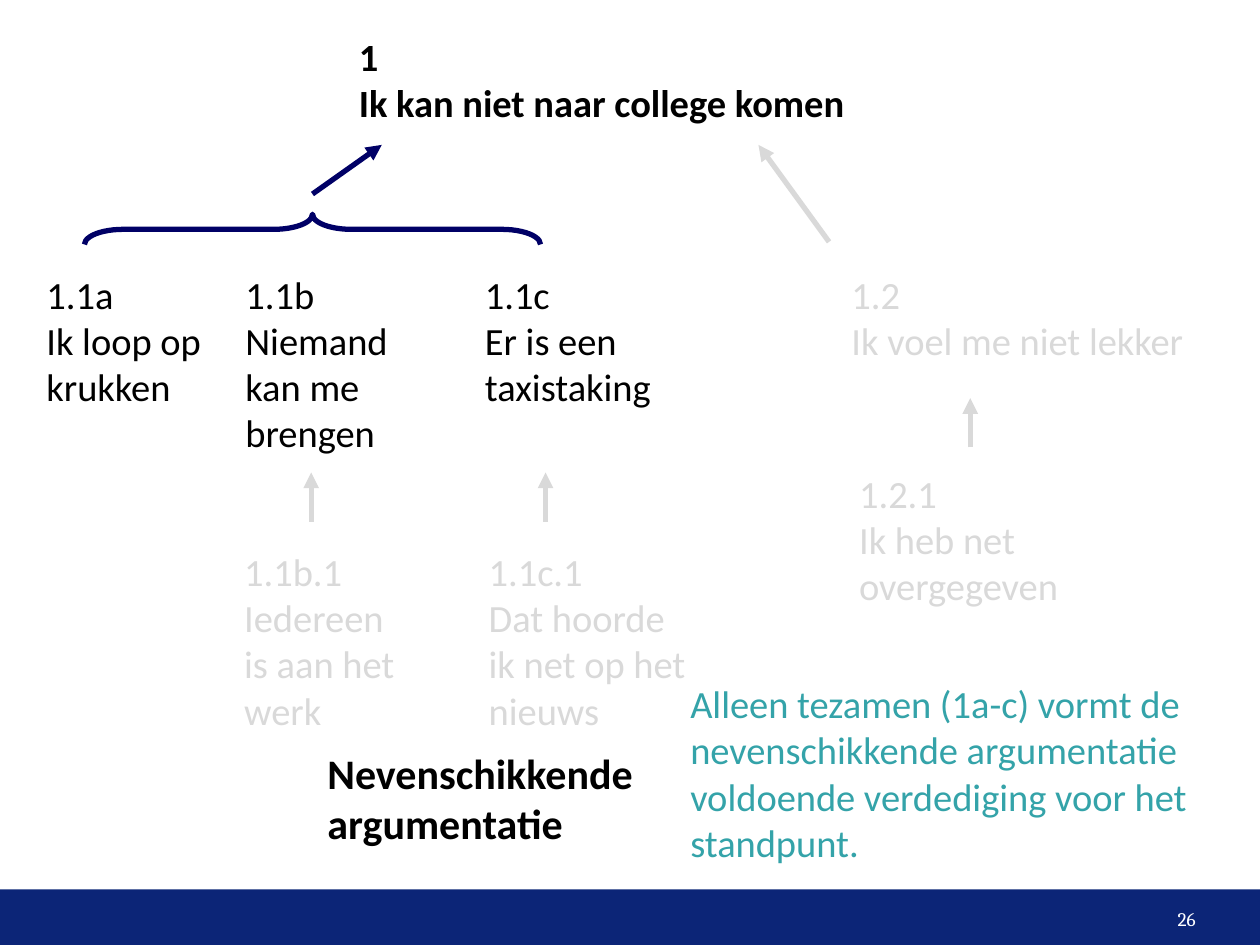
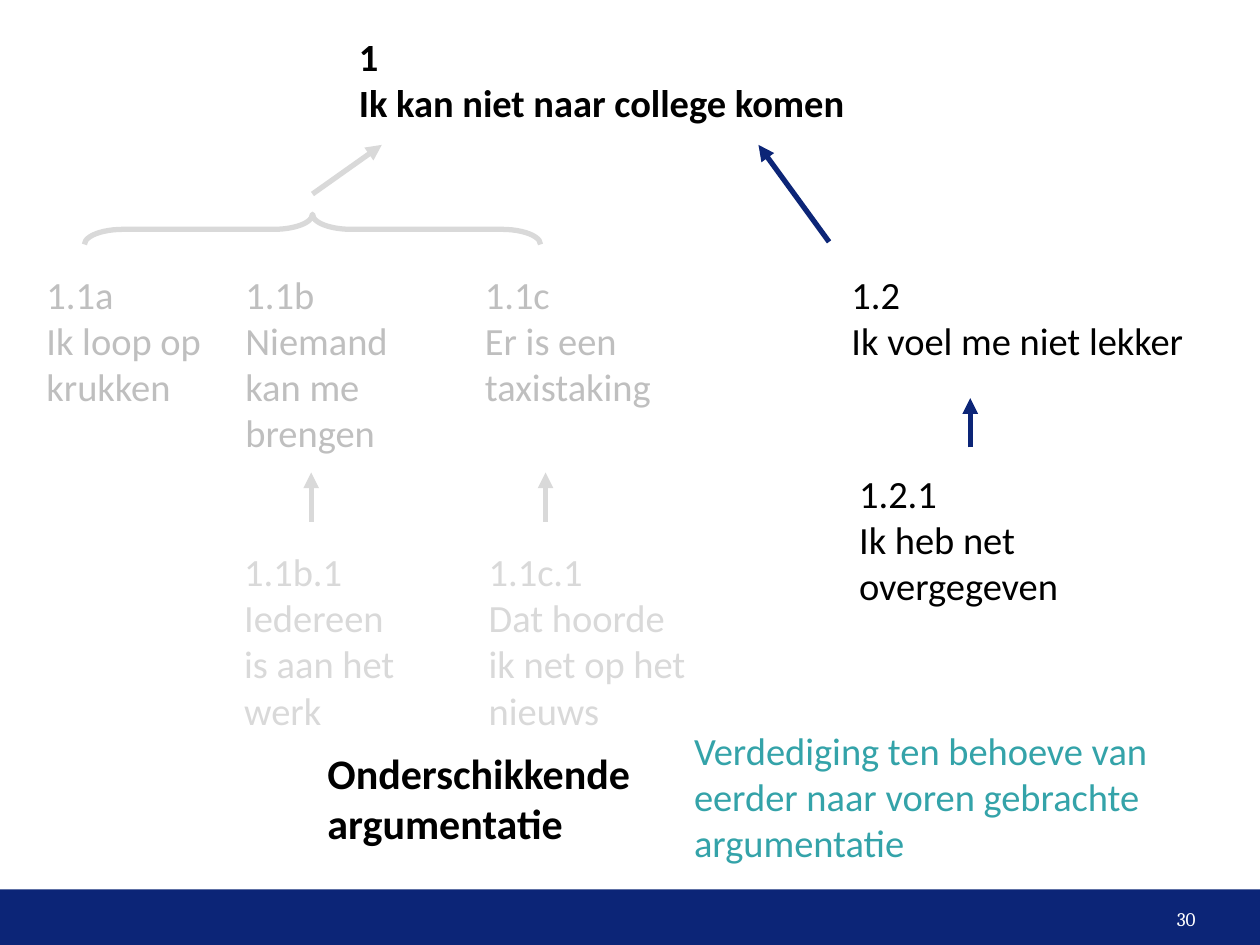
"""Builds two slides that highlight parts of one argumentation tree."""
from dataclasses import dataclass

from lxml import etree
from pptx import Presentation
from pptx.dml.color import RGBColor
from pptx.enum import shapes, text
from pptx.oxml import ns
from pptx.util import Inches, Pt


@dataclass(frozen=True)
class Theme:
    """Colours, fonts and sizes shared by the slides."""
    ink: str = "000000"
    white: str = "FFFFFF"
    band: str = "0C2577"
    navy: str = "000066"
    muted: str = "BFBFBF"
    faded: str = "D9D9D9"
    remark: str = "34A3A9"
    font: str = "Calibri"
    number_font: str = "Cambria"
    body: int = 22
    heading: int = 24
    number: int = 11
    stroke: int = 3


THEME = Theme()


def colour(value):
    """Turns a hex string into a colour."""
    return RGBColor.from_string(value)


def add_text(slide, box, *paragraphs, size=THEME.body, ink=THEME.ink, font=THEME.font,
             bold=False, wrap=True, align=text.PP_ALIGN.LEFT,
             anchor=text.MSO_ANCHOR.TOP, grow=True):
    """Places paragraphs of one format in a text box."""
    frame = slide.shapes.add_textbox(*map(Inches, box)).text_frame
    frame.word_wrap = wrap
    frame.vertical_anchor = anchor
    fit = text.MSO_AUTO_SIZE
    frame.auto_size = fit.SHAPE_TO_FIT_TEXT if grow else fit.NONE
    for index, words in enumerate(paragraphs):
        paragraph = frame.paragraphs[0] if index == 0 else frame.add_paragraph()
        paragraph.alignment = align
        run = paragraph.add_run()
        run.text = words
        run.font.name = font
        run.font.size = Pt(size)
        run.font.bold = bold
        run.font.color.rgb = colour(ink)
    return frame


def add_arrow(slide, start, end, ink):
    """Draws a straight arrow that supports the claim at its end."""
    arrow = slide.shapes.add_connector(
        shapes.MSO_CONNECTOR.STRAIGHT, *map(Inches, (*start, *end)))
    arrow.line.color.rgb = colour(ink)
    arrow.line.width = Pt(THEME.stroke)
    etree.SubElement(arrow.line._get_or_add_ln(), ns.qn("a:tailEnd"), type="triangle")
    etree.SubElement(arrow._element.spPr, ns.qn("a:effectLst"))


def add_up_arrow(slide, x, bottom, ink):
    """Draws a short vertical arrow."""
    add_arrow(slide, (x, bottom), (x, bottom - 0.39), ink)


def add_brace(slide, ink):
    """Draws the brace that joins the coordinated arguments."""
    brace = slide.shapes.add_shape(
        shapes.MSO_SHAPE.RIGHT_BRACE, *map(Inches, (2.36, 0.01, 0.24, 3.62)))
    brace.rotation = 270
    brace.adjustments[0] = 1.279
    brace.adjustments[1] = 0.5
    brace.shadow.inherit = False
    brace.fill.background()
    brace.line.color.rgb = colour(ink)
    brace.line.width = Pt(THEME.stroke)


def add_footer(slide, number):
    """Adds the bottom band and the page number."""
    band = slide.shapes.add_shape(
        shapes.MSO_SHAPE.RECTANGLE, *map(Inches, (0, 7.06, 10, 0.44)))
    band.shadow.inherit = False
    band.fill.solid()
    band.fill.fore_color.rgb = colour(THEME.band)
    band.line.fill.background()
    frame = add_text(slide, (7.31, 7.06, 2.25, 0.46), number, size=THEME.number,
                     ink=THEME.white, font=THEME.number_font, grow=False,
                     align=text.PP_ALIGN.RIGHT, anchor=text.MSO_ANCHOR.MIDDLE)
    frame.margin_left = frame.margin_right = Inches(0.07)
    frame.margin_top = frame.margin_bottom = Inches(0.04)


def add_coordinated_branch(slide, ink, line):
    """Adds arguments 1.1a to 1.1c with their faded support."""
    add_arrow(slide, (2.48, 1.54), (3.03, 1.15), line)
    add_brace(slide, line)
    arguments = (
        ((0.27, 2.1, 1.89, 1.21), "1.1a", "Ik loop op krukken"),
        ((1.85, 2.1, 1.57, 1.58), "1.1b", "Niemand kan me brengen"),
        ((3.75, 2.1, 1.81, 1.21), "1.1c", "Er is een taxistaking"),
    )
    for box, label, claim in arguments:
        add_text(slide, box, label, claim, ink=ink)
    supports = (
        ((1.84, 4.3, 1.5, 1.58), 2.47, "1.1b.1", "Iedereen is aan het werk"),
        ((3.78, 4.3, 1.81, 1.58), 4.33, "1.1c.1", "Dat hoorde ik net op het nieuws"),
    )
    for box, arrow_x, label, claim in supports:
        add_text(slide, box, label, claim, ink=THEME.faded)
        add_up_arrow(slide, arrow_x, 4.14, THEME.faded)


def add_subordinate_branch(slide, ink, line):
    """Adds argument 1.2 and its support 1.2.1."""
    add_text(slide, (6.66, 2.1, 2.96, 0.84), "1.2", "Ik voel me niet lekker",
             ink=ink, wrap=False)
    add_arrow(slide, (6.58, 1.92), (6.02, 1.15), line)
    add_text(slide, (6.72, 3.68, 2.91, 1.21), "1.2.1", "Ik heb net overgegeven", ink=ink)
    add_up_arrow(slide, 7.7, 3.55, line)


def add_tree_slide(deck, number, kind, remark, remark_box, coordinated, subordinate):
    """Adds the tree, each branch in its own text and line colours."""
    slide = deck.slides.add_slide(deck.slide_layouts[6])
    add_footer(slide, number)
    add_text(slide, (2.75, 0.21, 4.12, 0.84), "1", "Ik kan niet naar college komen",
             bold=True, wrap=False)
    add_coordinated_branch(slide, *coordinated)
    add_subordinate_branch(slide, *subordinate)
    add_text(slide, (2.5, 5.88, 2.91, 0.91), kind, "argumentatie",
             size=THEME.heading, bold=True)
    add_text(slide, remark_box, remark, ink=THEME.remark)


def main():
    """Builds and saves the deck."""
    deck = Presentation()
    deck.slide_width, deck.slide_height = Inches(10), Inches(7.5)
    add_tree_slide(
        deck, "26", "Nevenschikkende",
        "Alleen tezamen (1a-c) vormt de nevenschikkende argumentatie "
        "voldoende verdediging voor het standpunt.",
        (5.38, 5.35, 4.49, 1.58),
        coordinated=(THEME.ink, THEME.navy), subordinate=(THEME.faded, THEME.faded))
    add_tree_slide(
        deck, "30", "Onderschikkende",
        "Verdediging ten behoeve van eerder naar voren gebrachte argumentatie",
        (5.41, 5.72, 4.49, 1.21),
        coordinated=(THEME.muted, THEME.faded), subordinate=(THEME.ink, THEME.band))
    deck.save("out.pptx")


if __name__ == "__main__":
    main()
